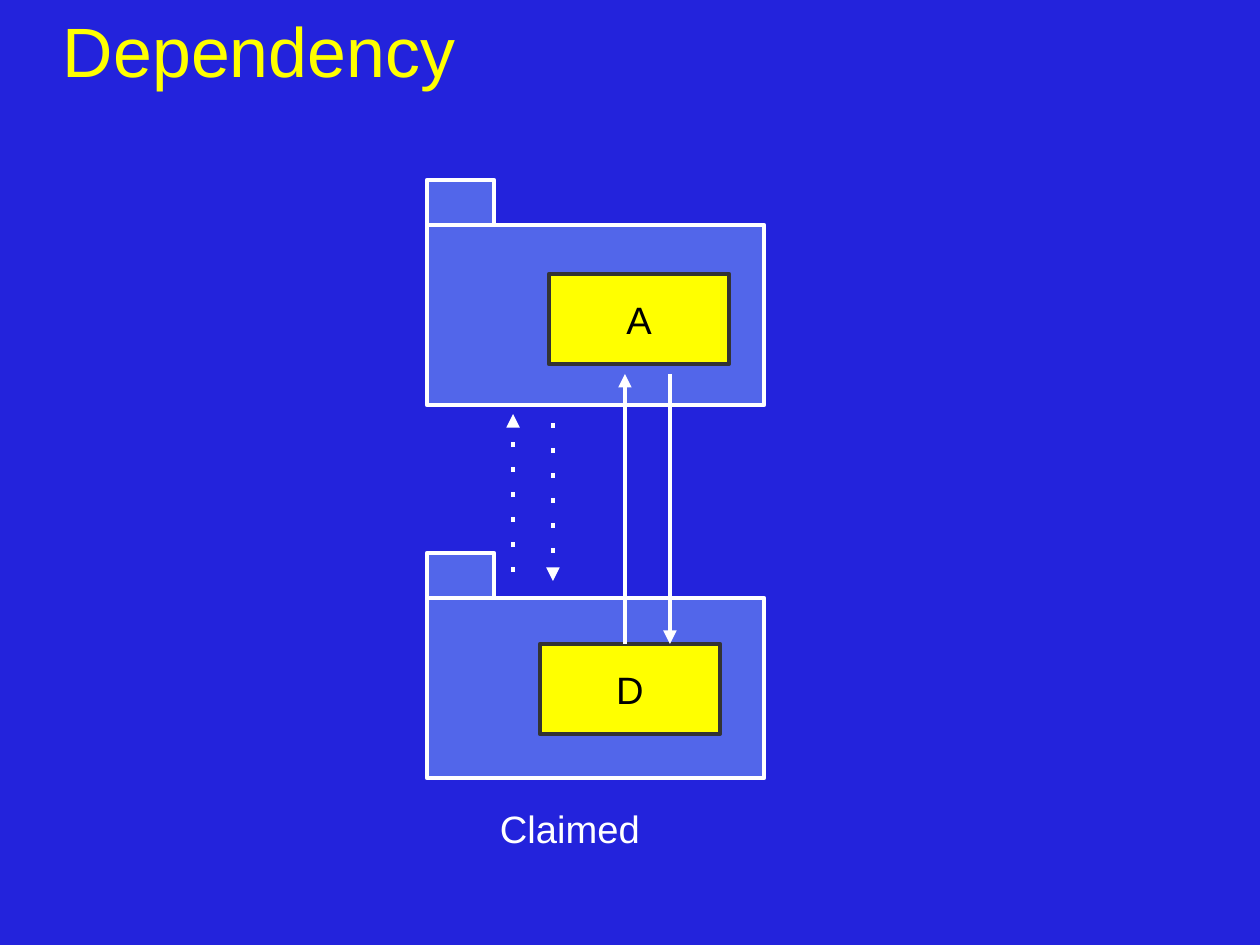
from lxml.etree import SubElement
from pptx import Presentation
from pptx.dml.color import RGBColor
from pptx.enum.shapes import MSO_CONNECTOR, MSO_SHAPE
from pptx.enum.text import MSO_ANCHOR, PP_ALIGN
from pptx.oxml.ns import qn
from pptx.util import Pt

SCALE = 8000
COLORS = {
    "back": "2323DC",
    "folder": "99CCFF",
    "yellow": "FFFF00",
    "white": "FFFFFF",
    "border": "333333",
    "black": "000000",
}


def px(*sizes):
    return [size * SCALE for size in sizes]


def color(name):
    return RGBColor.from_string(COLORS[name])


def add(parent, tag, **attrs):
    return SubElement(parent, qn(tag), attrs)


def write(frame, text, size=24, tint="white", align=PP_ALIGN.LEFT,
          anchor=MSO_ANCHOR.MIDDLE, inset=(11, 6), wrap=True):
    frame.word_wrap = wrap
    frame.vertical_anchor = anchor
    frame.margin_left = frame.margin_right = inset[0] * SCALE
    frame.margin_top = frame.margin_bottom = inset[1] * SCALE
    para = frame.paragraphs[0]
    para.alignment = align
    run = para.add_run()
    run.text = text
    run.font.name = "Arial"
    run.font.size = Pt(size)
    run.font.color.rgb = color(tint)


def stroke(shape, tint):
    shape.line.color.rgb = color(tint)
    shape.line.width = Pt(2.83)
    return shape.line._get_or_add_ln()


def box(slide, place, fill, edge):
    shape = slide.shapes.add_shape(MSO_SHAPE.RECTANGLE, *px(*place))
    shape.shadow.inherit = False
    shape.fill.solid()
    shape.fill.fore_color.rgb = color(fill)
    add(stroke(shape, edge), "a:round")
    return shape


def folder(slide, left, top):
    for place in ((left, top + 45, 337, 180), (left, top, 67, 45)):
        shape = box(slide, place, "folder", "white")
        tint = shape.fill._xPr.find(qn("a:solidFill"))[0]
        add(tint, "a:alpha", val="40000")


def node(slide, text, left, top):
    shape = box(slide, (left, top, 180, 90), "yellow", "border")
    write(shape.text_frame, text, tint="black", align=PP_ALIGN.CENTER)


def arrow(slide, x, start, end, dotted=False):
    line = slide.shapes.add_connector(
        MSO_CONNECTOR.STRAIGHT, *px(x, start, x, end))
    ln = stroke(line, "white")
    if dotted:
        dash = add(ln, "a:custDash")
        add(dash, "a:ds", d="100000", sp="457000")
    add(ln, "a:round")
    add(ln, "a:tailEnd", type="triangle", w="med", len="med")
    add(line._element.spPr, "a:effectLst")


def main():
    deck = Presentation()
    deck.slide_width, deck.slide_height = px(1260, 945)
    slide = deck.slides.add_slide(deck.slide_layouts[5])
    slide.background.fill.solid()
    slide.background.fill.fore_color.rgb = color("back")

    title = slide.shapes.title
    title.left, title.top, title.width, title.height = px(63, 1, 1134, 97)
    write(title.text_frame, "Dependency", size=44, tint="yellow", inset=(0, 0))

    folder(slide, 427, 180)
    folder(slide, 427, 553)
    node(slide, "A", 549, 274)
    node(slide, "D", 540, 644)

    arrow(slide, 625, 644, 374)
    arrow(slide, 670, 374, 644)

    label = slide.shapes.add_textbox(*px(489, 799, 162, 54))
    write(label.text_frame, "Claimed", anchor=MSO_ANCHOR.TOP, wrap=False)

    arrow(slide, 513, 572, 414, dotted=True)
    arrow(slide, 553, 423, 581, dotted=True)

    deck.save("out.pptx")


if __name__ == "__main__":
    main()
